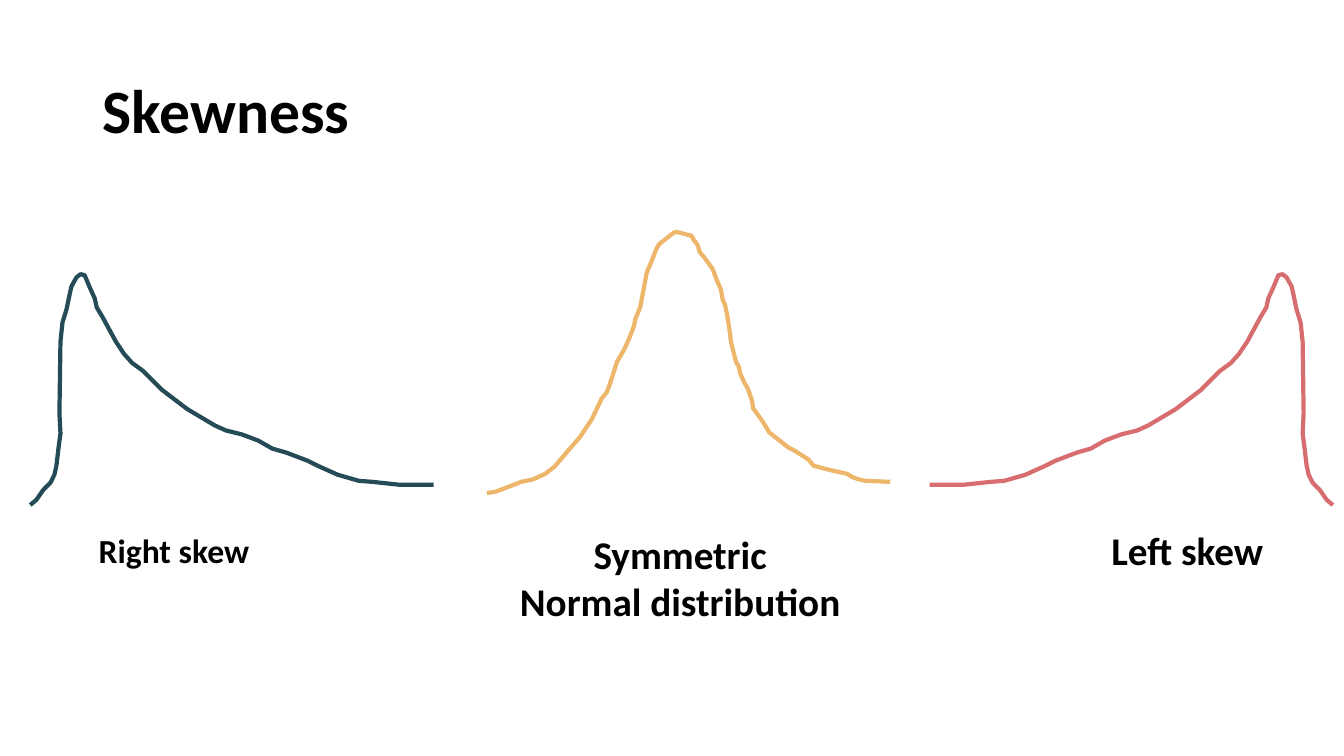
from pptx import Presentation
from pptx.dml.color import RGBColor
from pptx.enum.text import MSO_ANCHOR, PP_ALIGN
from pptx.util import Inches, Pt

prs = Presentation()
prs.slide_width, prs.slide_height = Inches(13.33), Inches(7.5)
s = prs.slides.add_slide(prs.slide_layouts[6])

# Grid of square cells
COLS, ROWS = 133.3, 75
COL, ROW = prs.slide_width / COLS, prs.slide_height / ROWS


def rgb(value):
    return RGBColor.from_string(value)


def grid(col, row):
    return round(col * COL), round(row * ROW)


# Curves as (column, row) points; the left skew mirrors the right skew
MIRROR = 135.2
right_skew = [
    (3, 50.1), (3.6, 49.6), (4.3, 48.6), (5, 47.9), (5.4, 47.1), (5.6, 46.2),
    (5.8, 44.5), (6, 43), (5.9, 41), (6, 33.9), (6.2, 32), (6.6, 30.7),
    (7, 28.8), (7.1, 28.4), (7.6, 27.5), (8, 27.2), (8.4, 27.3), (8.9, 28.5),
    (9.4, 29.6), (9.6, 30.5), (10.2, 31.5), (11.5, 33.9), (12.3, 35.1),
    (13.1, 36), (14.2, 36.8), (16.1, 38.7), (18.6, 40.6), (21.3, 42.2),
    (22.4, 42.7), (24, 43.1), (25.6, 43.7), (27, 44.5), (28.4, 44.9),
    (30.5, 45.7), (31.5, 46.2), (33.5, 47.1), (35.6, 47.7), (36.9, 47.8),
    (39.7, 48.1), (43, 48.1),
]
left_skew = [(MIRROR - col, row) for col, row in right_skew]
symmetric = [
    (48.3, 48.9), (49.1, 48.8), (49.9, 48.5), (51.2, 48), (51.7, 47.8),
    (52.7, 47.6), (53, 47.5), (54.1, 47), (55, 46.3), (56.1, 45),
    (57.5, 43.4), (58.7, 41.6), (59.7, 39.5), (60.2, 38.9), (60.5, 38.1),
    (61.2, 35.9), (61.9, 34.7), (62.4, 33.6), (62.9, 32.3), (63, 31.7),
    (63.5, 30.5), (64.1, 27.3), (64.2, 26.9), (64.6, 26), (65.1, 24.7),
    (65.4, 24.2), (65.8, 23.9), (66.8, 23.1), (67.1, 23), (68.6, 23.4),
    (68.8, 23.8), (69.2, 24.3), (69.4, 25), (69.9, 25.6), (70.7, 26.7),
    (71.1, 27.8), (71.5, 28.7), (71.7, 29.8), (71.9, 30.2), (72.1, 31.1),
    (72.4, 33), (72.5, 33.9), (73, 35.9), (73.3, 36.4), (73.4, 37),
    (73.8, 37.9), (74.2, 38.6), (74.6, 39.8), (74.7, 40.5), (75, 40.9),
    (75.7, 41.9), (76.3, 42.9), (78.2, 44.4), (78.8, 44.7), (80.2, 45.6),
    (80.7, 46.2), (82.2, 46.6), (84, 47), (84.5, 47.3), (85, 47.5),
    (85.8, 47.7), (88.3, 47.8),
]

for points, color in ((right_skew, "254B56"), (left_skew, "D76D6F"),
                      (symmetric, "EEB66B")):
    start, *rest = [grid(*point) for point in points]
    builder = s.shapes.build_freeform(*start)
    builder.add_line_segments(rest, close=False)
    sp = builder.convert_to_shape()
    sp.shadow.inherit = False
    sp.fill.background()
    sp.line.color.rgb = rgb(color)
    sp.line.width = Pt(3)

# Title and curve labels: lines, left, top, width, height, size, formats
TITLE = {"alignment": PP_ALIGN.LEFT, "line_spacing": 0.9}
LABEL = {"alignment": PP_ALIGN.CENTER}
texts = [
    (["Skewness"], 9.2, 4, 115, 14.5, 44, MSO_ANCHOR.MIDDLE, TITLE),
    (["Right skew"], 6.9, 52.1, 20.7, 5, 24, MSO_ANCHOR.TOP, LABEL),
    (["Left skew"], 107.4, 51.7, 20.7, 5.7, 28, MSO_ANCHOR.TOP, LABEL),
    (["Symmetric", "Normal distribution"], 49.9, 52.1, 35.1, 10.4, 28,
     MSO_ANCHOR.TOP, LABEL),
]
for lines, left, top, width, height, size, anchor, formats in texts:
    tf = s.shapes.add_textbox(*grid(left, top), *grid(width, height)).text_frame
    tf.word_wrap = True
    tf.vertical_anchor = anchor
    tf.text = "\n".join(lines)
    for p in tf.paragraphs:
        for name, value in formats.items():
            setattr(p, name, value)
        font = p.runs[0].font
        for name, value in {"name": "Calibri", "size": Pt(size), "bold": True}.items():
            setattr(font, name, value)
        font.color.rgb = rgb("000000")

prs.save("out.pptx")
